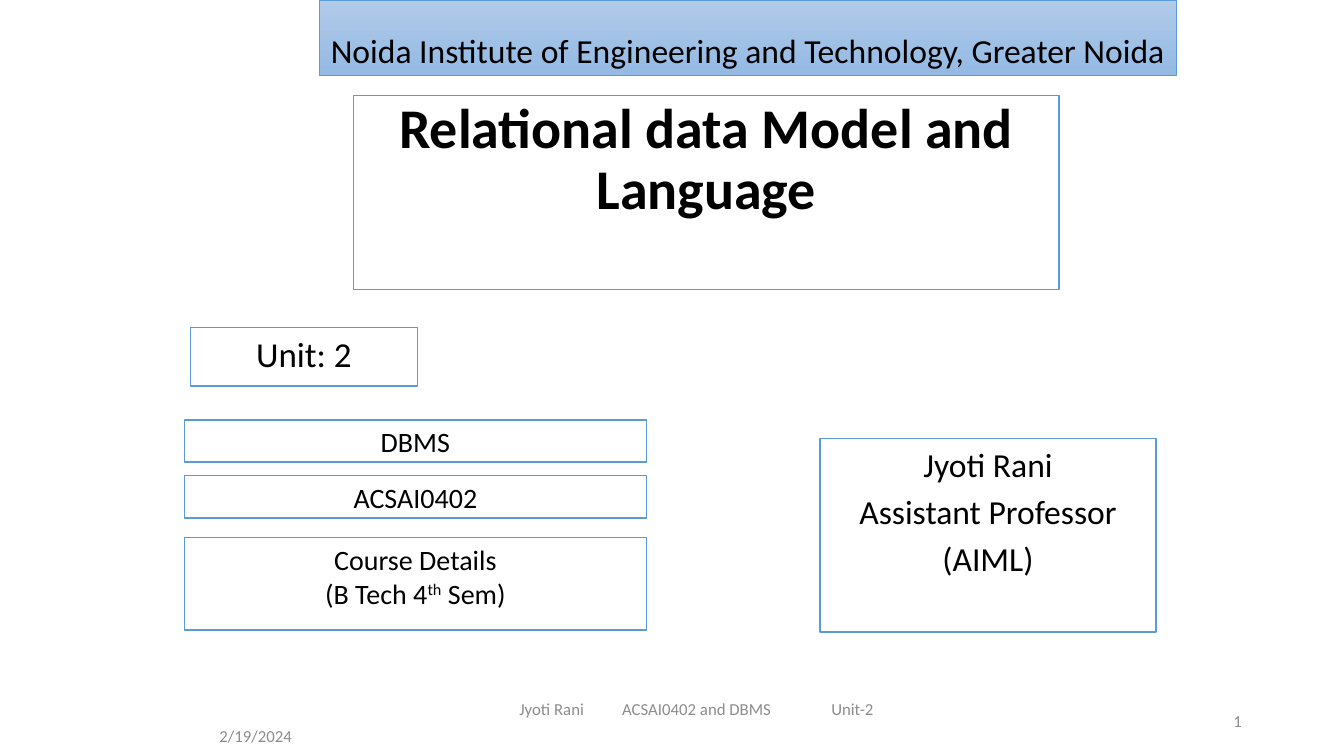
from dataclasses import dataclass

from pptx import Presentation
from pptx.dml.color import RGBColor
from pptx.enum.shapes import MSO_SHAPE
from pptx.enum.text import MSO_ANCHOR, MSO_AUTO_SIZE, PP_ALIGN
from pptx.oxml import parse_xml
from pptx.oxml.ns import nsdecls
from pptx.shapes.base import BaseShape
from pptx.slide import Slide
from pptx.text.text import TextFrame, _Paragraph
from pptx.util import Cm, Pt

FONT = "Calibri"
COLORS = {
    "ink": "000000",
    "muted": "8C8C8C",
    "paper": "FFFFFF",
    "border": "5B9BD5",
    "banner_top": "B1CBE9",
    "banner_bottom": "93B9E4",
}


@dataclass(frozen=True)
class Area:
    left: float
    top: float
    width: float
    height: float


@dataclass(frozen=True)
class Panel:
    area: Area
    lines: tuple[str, ...]
    size: float
    bold: bool = False
    line_spacing: float = 1.0


@dataclass(frozen=True)
class FooterItem:
    area: Area
    text: str
    align: PP_ALIGN = PP_ALIGN.LEFT
    indent: float = 0.25
    tabs: tuple[float, ...] = ()


COURSE_LEFT, COURSE_WIDTH = 4.65, 11.64
BANNER = Area(8.05, 0, 21.59, 1.91)
PANELS = (
    Panel(Area(8.91, 2.41, 17.78, 4.88), ("Relational data Model and Language",), 40, True, 0.9),
    Panel(Area(20.67, 11.05, 8.46, 4.88), ("Jyoti Rani", "Assistant Professor", "(AIML)"), 24),
    Panel(Area(4.8, 8.25, 5.72, 1.48), ("Unit: 2",), 25),
    Panel(Area(COURSE_LEFT, 10.58, COURSE_WIDTH, 1.06), ("DBMS",), 20),
    Panel(Area(COURSE_LEFT, 11.99, COURSE_WIDTH, 1.06), ("ACSAI0402",), 20),
)
COURSE_DETAILS = Panel(
    Area(COURSE_LEFT, 13.55, COURSE_WIDTH, 2.33), ("Course Details\v(B Tech 4",), 20
)
FOOTER = (
    FooterItem(Area(5.28, 18.03, 5.92, 1.02), "2/19/2024"),
    FooterItem(Area(23.93, 17.65, 7.62, 1.02), "1", PP_ALIGN.RIGHT),
    FooterItem(
        Area(10.59, 17.35, 13.97, 1.02),
        "Jyoti Rani\tACSAI0402 and DBMS\tUnit-2",
        indent=2.5,
        tabs=(2.59, 7.86),
    ),
)


def rgb(name: str) -> RGBColor:
    return RGBColor.from_string(COLORS[name])


def lengths(area: Area) -> tuple[Cm, Cm, Cm, Cm]:
    return Cm(area.left), Cm(area.top), Cm(area.width), Cm(area.height)


def style(paragraph: _Paragraph, size: float, color: str, align: PP_ALIGN, bold: bool = False) -> None:
    paragraph.alignment = align
    paragraph.font.name = FONT
    paragraph.font.size = Pt(size)
    paragraph.font.bold = bold
    paragraph.font.color.rgb = rgb(color)


def outline(shape: BaseShape, width: float) -> None:
    shape.line.color.rgb = rgb("border")
    shape.line.width = Pt(width)


def add_banner(slide: Slide) -> None:
    banner = slide.shapes.title
    banner.left, banner.top, banner.width, banner.height = lengths(BANNER)
    banner.fill.gradient()
    banner.fill.gradient_angle = 270
    for stop, color in zip(banner.fill.gradient_stops, ("banner_top", "banner_bottom")):
        stop.color.rgb = rgb(color)
    outline(banner, 0.5)
    frame = banner.text_frame
    frame.text = "Noida Institute of Engineering and Technology, Greater Noida"
    frame.auto_size = MSO_AUTO_SIZE.NONE
    frame.vertical_anchor = MSO_ANCHOR.BOTTOM
    institute = frame.paragraphs[0]
    institute.line_spacing = 0.9
    style(institute, 24, "ink", PP_ALIGN.CENTER)


def add_panel(slide: Slide, panel: Panel) -> TextFrame:
    box = slide.shapes.add_shape(MSO_SHAPE.RECTANGLE, *lengths(panel.area))
    box.shadow.inherit = False
    box.fill.solid()
    box.fill.fore_color.rgb = rgb("paper")
    outline(box, 1)
    frame = box.text_frame
    frame.word_wrap = True
    frame.vertical_anchor = MSO_ANCHOR.TOP
    for index, line in enumerate(panel.lines):
        paragraph = frame.add_paragraph() if index else frame.paragraphs[0]
        paragraph.text = line
        paragraph.line_spacing = panel.line_spacing
        if index:
            paragraph.space_before = Pt(0.2 * panel.size)
        style(paragraph, panel.size, "ink", PP_ALIGN.CENTER, panel.bold)
    return frame


def add_course_details(slide: Slide) -> None:
    details = add_panel(slide, COURSE_DETAILS).paragraphs[0]
    ordinal = details.add_run()
    ordinal.text = "th"
    ordinal.font._element.set("baseline", "30000")
    details.add_run().text = " Sem)"


def add_footer_item(slide: Slide, item: FooterItem) -> None:
    frame = slide.shapes.add_textbox(*lengths(item.area)).text_frame
    frame.word_wrap = True
    frame.vertical_anchor = MSO_ANCHOR.MIDDLE
    frame.margin_left = Cm(item.indent)
    paragraph = frame.paragraphs[0]
    paragraph.text = item.text
    if item.tabs:
        stops = "".join(f'<a:tab pos="{Cm(tab)}" algn="l"/>' for tab in item.tabs)
        tab_list = parse_xml(f"<a:tabLst {nsdecls('a')}>{stops}</a:tabLst>")
        paragraph._p.get_or_add_pPr().append(tab_list)
    style(paragraph, 12, "muted", item.align)


def main() -> None:
    deck = Presentation()
    deck.slide_width, deck.slide_height = Cm(33.87), Cm(19.05)
    slide = deck.slides.add_slide(deck.slide_layouts.get_by_name("Title Only"))
    add_banner(slide)
    for panel in PANELS:
        add_panel(slide, panel)
    add_course_details(slide)
    for item in FOOTER:
        add_footer_item(slide, item)
    deck.save("out.pptx")


if __name__ == "__main__":
    main()
